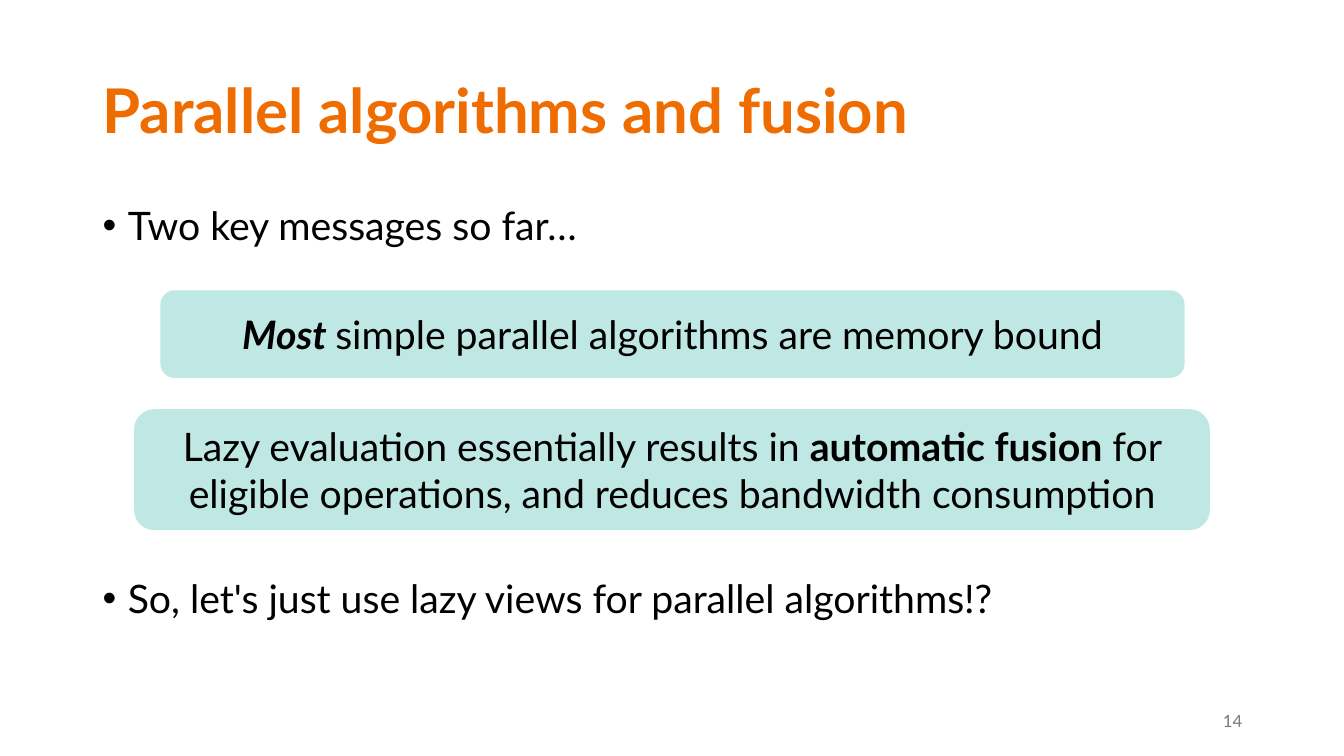
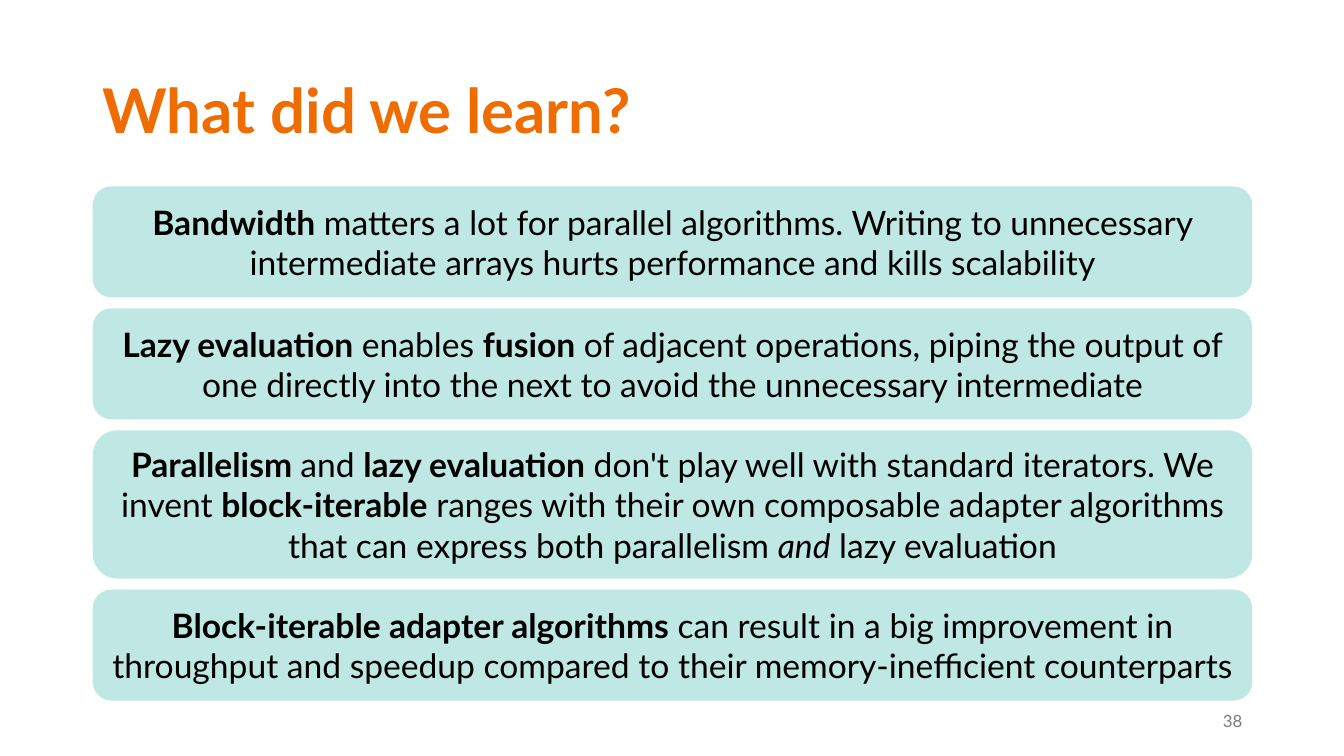
import pptx
import pptx.dml.color
import pptx.enum.shapes
import pptx.enum.text
import pptx.oxml
import pptx.oxml.ns
import pptx.util

Inches = pptx.util.Inches
Pt = pptx.util.Pt
RGBColor = pptx.dml.color.RGBColor
ALIGN = pptx.enum.text.PP_ALIGN
ANCHOR = pptx.enum.text.MSO_ANCHOR

ORANGE = RGBColor(0xEF, 0x6C, 0x00)
MINT = RGBColor(0xBF, 0xE7, 0xE3)
BLACK = RGBColor(0x00, 0x00, 0x00)
GREY = RGBColor(0x79, 0x79, 0x79)

FONT = "Lato"
LEFT, WIDTH = 0.92, 11.5
BOLD = {"bold": True}
ITALIC = {"italic": True}
BOLD_ITALIC = {**BOLD, **ITALIC}


def apply_format(target, values):
    for name, value in values.items():
        setattr(target, name, value)


class Presenter:
    """Builds slides that share one title, bullet, card and page-number style."""

    def __init__(self):
        self.deck = pptx.Presentation()
        self.deck.slide_width = Inches(13.33)
        self.deck.slide_height = Inches(7.5)
        self.page = None

    def start_page(self, title, number):
        self.page = self.deck.slides.add_slide(self.deck.slide_layouts[6])
        self.text_box((LEFT, 0.4, WIDTH, 1.45), title, 44, ORANGE, {"line_spacing": 0.9},
                      ANCHOR.MIDDLE, BOLD)
        self.text_box((9.42, 6.95, 3, 0.4), str(number), 12, GREY,
                      {"alignment": ALIGN.RIGHT}, ANCHOR.MIDDLE)

    def fill_text(self, frame, spans, size, color, layout, anchor):
        apply_format(frame, {"word_wrap": True, "vertical_anchor": anchor})
        para = frame.paragraphs[0]
        apply_format(para, layout)
        for text, style in spans:
            span = para.add_run()
            span.text = text
            apply_format(span.font, {"name": FONT, "size": Pt(size), **style})
            span.font.color.rgb = color
        return para

    def text_box(self, place, text, size, color, layout, anchor=ANCHOR.TOP, style=None):
        box = self.page.shapes.add_textbox(*map(Inches, place))
        return self.fill_text(box.text_frame, [(text, style or {})], size, color, layout,
                              anchor)

    def bullet(self, top, text):
        para = self.text_box((LEFT, top, WIDTH, 0.73), text, 28, BLACK,
                             {"line_spacing": 0.9, "space_before": Pt(10)})
        properties = para._p.get_or_add_pPr()
        properties.set("marL", str(Inches(0.25)))
        properties.set("indent", str(Inches(-0.25)))
        for tag, key, value in (("buFont", "typeface", "Arial"), ("buChar", "char", "•")):
            mark = pptx.oxml.parse_xml(f"<a:{tag} {pptx.oxml.ns.nsdecls('a')}/>")
            mark.set(key, value)
            properties.append(mark)

    def card(self, place, spans, size):
        box = self.page.shapes.add_shape(
            pptx.enum.shapes.MSO_SHAPE.ROUNDED_RECTANGLE, *map(Inches, place))
        box.shadow.inherit = False
        box.fill.solid()
        box.fill.fore_color.rgb = MINT
        box.line.fill.background()
        margins = ("margin_left", "margin_top", "margin_right", "margin_bottom")
        apply_format(box.text_frame, dict.fromkeys(margins, Inches(0.1)))
        self.fill_text(box.text_frame, spans, size, BLACK, {"alignment": ALIGN.CENTER},
                       ANCHOR.MIDDLE)

    def card_stack(self, top, gap, cards):
        for height, spans in cards:
            self.card((LEFT, top, WIDTH, height), spans, 24)
            top += height + gap


LESSONS = [
    (1.1, [
        ("Bandwidth", BOLD),
        (" matters a lot for parallel algorithms. Writing to unnecessary intermediate arrays "
         "hurts performance and kills scalability", {}),
    ]),
    (1.1, [
        ("Lazy evaluation", BOLD),
        (" enables ", {}),
        ("fusion", BOLD),
        (" of adjacent operations, piping the output of one directly into the next to avoid "
         "the unnecessary intermediate", {}),
    ]),
    (1.47, [
        ("Parallelism ", BOLD),
        ("and ", {}),
        ("lazy evaluation", BOLD),
        (" don't play well with standard iterators. We invent ", {}),
        ("block-iterable", BOLD),
        (" ranges with their own composable adapter algorithms that can express both "
         "parallelism ", {}),
        ("and", ITALIC),
        (" lazy evaluation", {}),
    ]),
    (1.1, [
        ("Block-iterable adapter algorithms", BOLD),
        (" can result in a big improvement in throughput and speedup compared to their "
         "memory-inefficient counterparts", {}),
    ]),
]


def main():
    show = Presenter()

    show.start_page("Parallel algorithms and fusion", 14)
    show.bullet(2, "Two key messages so far…")
    show.card((1.59, 2.88, 10.16, 0.87), [
        ("Most ", BOLD_ITALIC),
        ("simple parallel algorithms are memory bound", {}),
    ], 28)
    show.card((1.33, 4.06, 10.67, 1.2), [
        ("Lazy evaluation essentially results in ", {}),
        ("automatic fusion", BOLD),
        (" for eligible operations, and reduces bandwidth consumption", {}),
    ], 28)
    show.bullet(5.7, "So, let's just use lazy views for parallel algorithms!?")

    show.start_page("What did we learn?", 38)
    show.card_stack(1.85, 0.11, LESSONS)

    show.deck.save("out.pptx")


if __name__ == "__main__":
    main()
